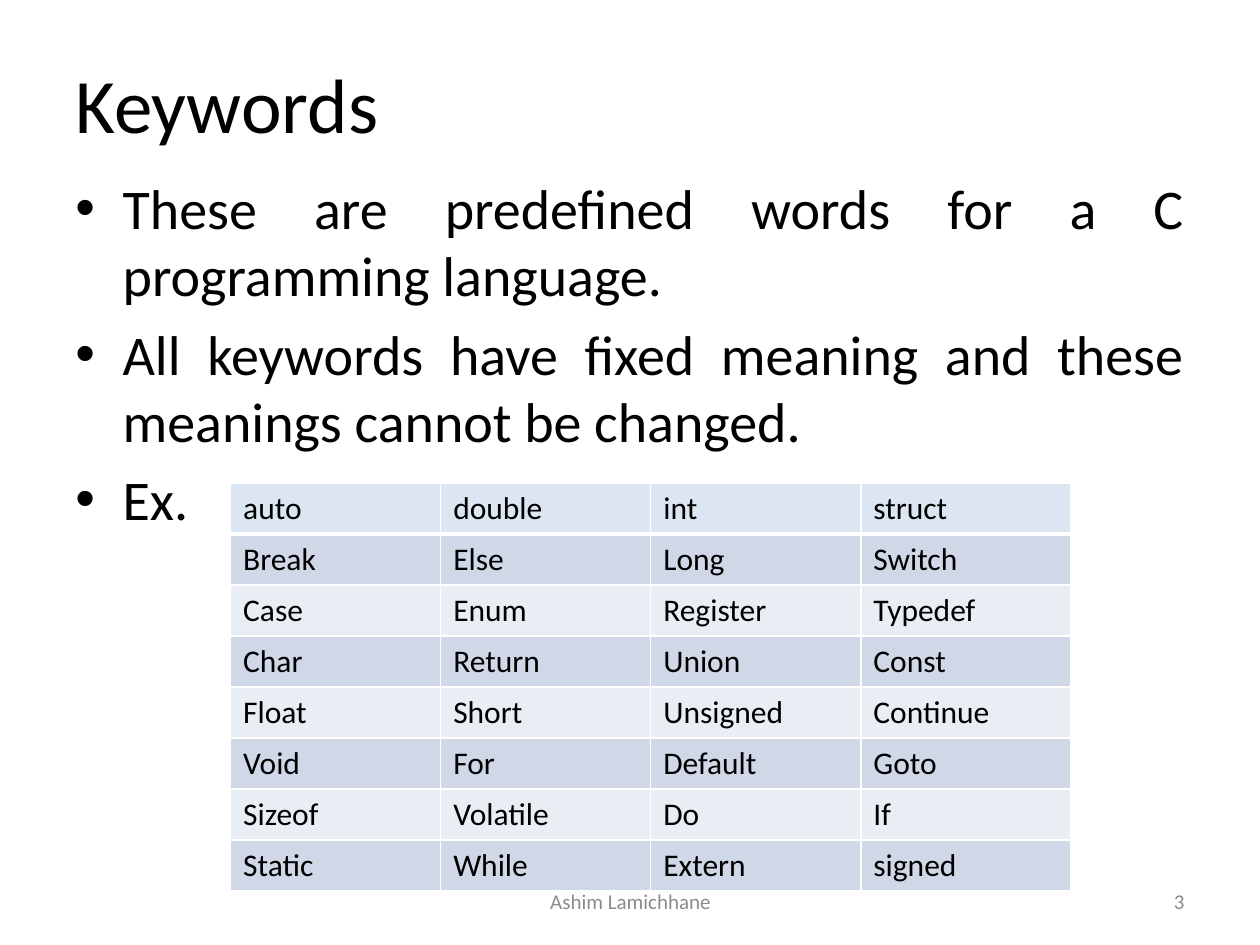
from dataclasses import dataclass
from typing import NamedTuple

import pptx
import pptx.dml.color
import pptx.enum.text
import pptx.oxml
import pptx.oxml.ns
import pptx.util

ALIGN = pptx.enum.text.PP_ALIGN
ANCHOR = pptx.enum.text.MSO_ANCHOR
WIDTH, HEIGHT = pptx.util.Inches(10), pptx.util.Inches(7.5)


@dataclass(frozen=True)
class Theme:
    font: str = "Calibri"
    ink: str = "000000"
    muted: str = "8C8C8C"
    rule: str = "FFFFFF"
    header: str = "DCE6F2"
    bands: tuple[str, str] = ("D0D8E8", "E9EDF4")
    title: int = 44
    body: int = 32
    cell: int = 18
    footer: int = 12
    thin: int = 1
    thick: int = 3


class Box(NamedTuple):
    """Left, top, width and height as shares of the slide."""
    x: float
    y: float
    w: float
    h: float

    def emu(self) -> tuple[int, int, int, int]:
        return (round(self.x * WIDTH), round(self.y * HEIGHT),
                round(self.w * WIDTH), round(self.h * HEIGHT))


class Label(NamedTuple):
    lines: list[str]
    box: Box
    size: int
    color: str
    align: ALIGN = ALIGN.LEFT
    anchor: ANCHOR = ANCHOR.MIDDLE
    bulleted: bool = False


THEME = Theme()
LABELS = [
    Label(["Keywords"], Box(0.05, 0.04, 0.9, 0.137), THEME.title, THEME.ink),
    Label(["These are predefined words for a C programming language.",
           "All keywords have fixed meaning and these meanings cannot be changed.",
           "Ex. "],
          Box(0.05, 0.177, 0.9, 0.716), THEME.body, THEME.ink,
          ALIGN.JUSTIFY, ANCHOR.TOP, True),
]
FOOTERS = [
    Label(["Ashim Lamichhane"], Box(0.342, 0.927, 0.317, 0.053),
          THEME.footer, THEME.muted, ALIGN.CENTER),
    Label(["3"], Box(0.717, 0.927, 0.233, 0.053),
          THEME.footer, THEME.muted, ALIGN.RIGHT),
]
TABLE_BOX = Box(0.183, 0.511, 0.667, 0.432)
KEYWORDS = [
    ["auto", "double", "int", "struct"],
    ["Break", "Else", "Long", "Switch"],
    ["Case", "Enum", "Register", "Typedef"],
    ["Char", "Return", "Union", "Const"],
    ["Float", "Short", "Unsigned", "Continue"],
    ["Void", "For", "Default", "Goto"],
    ["Sizeof", "Volatile", "Do", "If"],
    ["Static", "While", "Extern", "signed"],
]


def rgb(color: str) -> pptx.dml.color.RGBColor:
    return pptx.dml.color.RGBColor.from_string(color)


def style_runs(p, size: int, color: str) -> None:
    for r in p.runs:
        r.font.name = THEME.font
        r.font.size = pptx.util.Pt(size)
        r.font.color.rgb = rgb(color)


def add_bullet(p, size: int) -> None:
    """Give a paragraph a hanging bullet and a fifth of a line before it."""
    p.space_before = pptx.util.Pt(size * 0.2)
    indent = pptx.util.Inches(0.375)
    pPr = p._p.get_or_add_pPr()
    pPr.set("marL", str(indent))
    pPr.set("indent", str(-indent))
    ns = pptx.oxml.ns.nsdecls("a")
    pPr.append(pptx.oxml.parse_xml(f'<a:buFont {ns} typeface="Arial"/>'))
    pPr.append(pptx.oxml.parse_xml(f'<a:buChar {ns} char="•"/>'))


def add_label(s, label: Label) -> None:
    tf = s.shapes.add_textbox(*label.box.emu()).text_frame
    tf.word_wrap = True
    tf.vertical_anchor = label.anchor
    tf.text = "\n".join(label.lines)
    for p in tf.paragraphs:
        p.alignment = label.align
        style_runs(p, label.size, label.color)
        if label.bulleted:
            add_bullet(p, label.size)


def set_borders(cell, top: int, bottom: int) -> None:
    """Insert the border lines ahead of the cell's fill, as the schema asks."""
    tcPr = cell._tc.get_or_add_tcPr()
    sides = {"L": THEME.thin, "R": THEME.thin, "T": top, "B": bottom}
    for i, (side, points) in enumerate(sides.items()):
        tcPr.insert(i, pptx.oxml.parse_xml(
            f'<a:ln{side} {pptx.oxml.ns.nsdecls("a")} w="{pptx.util.Pt(points)}">'
            f'<a:solidFill><a:srgbClr val="{THEME.rule}"/></a:solidFill>'
            f'</a:ln{side}>'))


def add_keyword_table(s, rows: list[list[str]], box: Box) -> None:
    x, y, w, h = box.emu()
    table = s.shapes.add_table(len(rows), len(rows[0]), x, y, w, h).table
    for i, words in enumerate(rows):
        fill = THEME.bands[(i - 1) % 2] if i else THEME.header
        top = THEME.thick if i == 1 else THEME.thin
        bottom = THEME.thin if i else THEME.thick
        for j, word in enumerate(words):
            cell = table.cell(i, j)
            cell.text_frame.text = word
            p = cell.text_frame.paragraphs[0]
            style_runs(p, THEME.cell, THEME.ink)
            p.runs[0].font.bold = False
            cell.fill.solid()
            cell.fill.fore_color.rgb = rgb(fill)
            set_borders(cell, top, bottom)


def main() -> None:
    prs = pptx.Presentation()
    prs.slide_width, prs.slide_height = WIDTH, HEIGHT
    s = prs.slides.add_slide(prs.slide_layouts[6])
    for label in LABELS:
        add_label(s, label)
    add_keyword_table(s, KEYWORDS, TABLE_BOX)
    for label in FOOTERS:
        add_label(s, label)
    prs.save("out.pptx")


if __name__ == "__main__":
    main()
